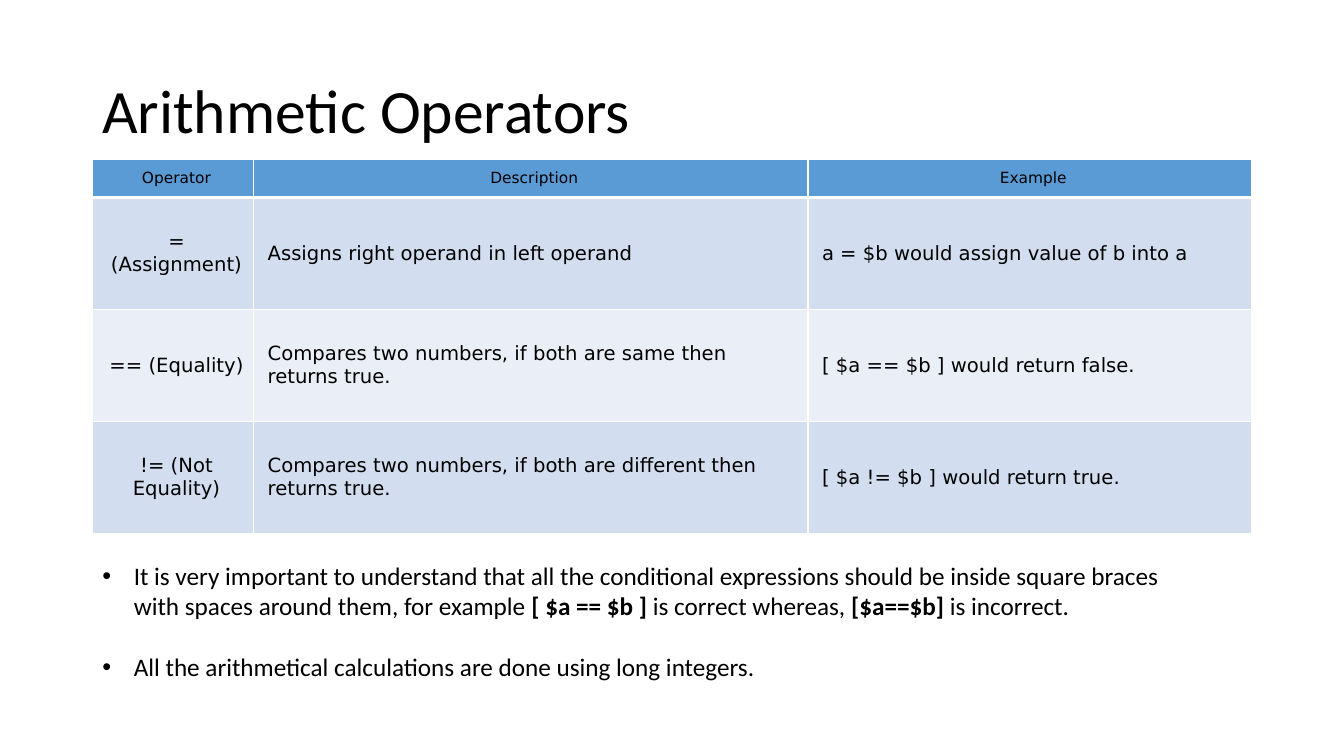
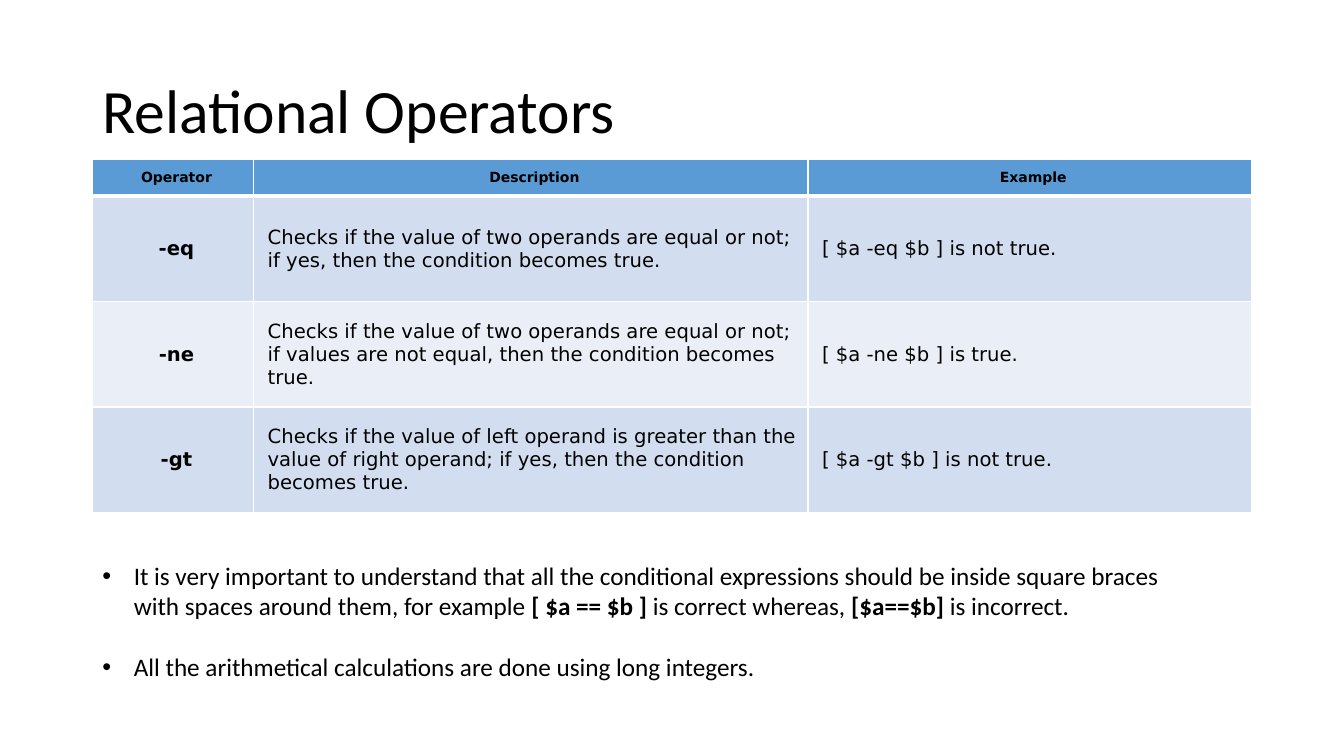
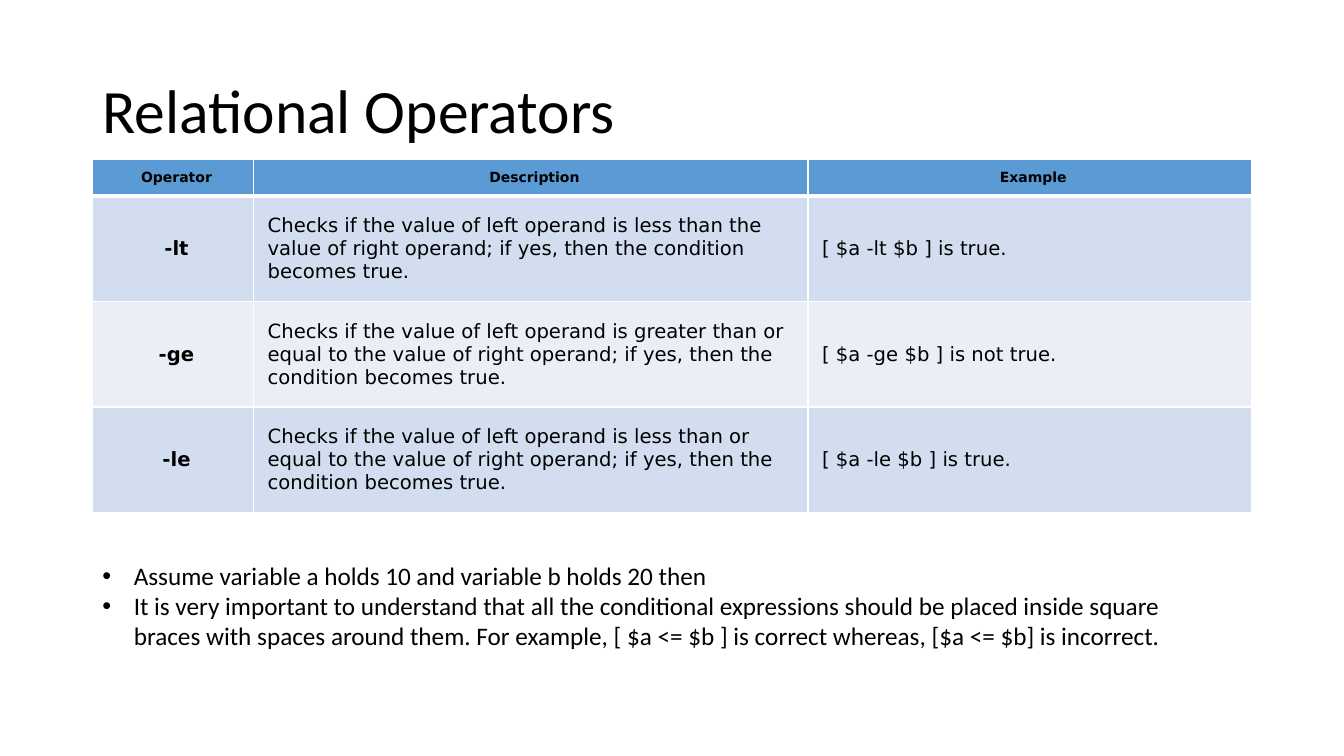
from lxml.etree import SubElement
from pptx import Presentation
from pptx.dml.color import RGBColor
from pptx.enum.text import MSO_ANCHOR, PP_ALIGN
from pptx.oxml.ns import qn
from pptx.util import Pt

COLORS = {
    "text": "000000",
    "header": "5B9BD5",
    "odd_row": "D2DEEF",
    "even_row": "EAEFF7",
    "border": "FFFFFF",
}
LEFT = 66
CELL_MARGIN = 5
BULLET_INDENT = 22.5
NOTE_LINE = 22
COLUMN_WIDTHS = [115.2, 396, 316.8]
TABLE_WIDTH = sum(COLUMN_WIDTHS)
HEADINGS = ("Operator", "Description", "Example")

# Each note is a tuple of spans, alternating between regular and bold.
BRACES_NOTES = [
    ("It is very important to understand that all the conditional expressions "
     "should be inside square braces with spaces around them, for example ",
     "[ $a == $b ]", " is correct whereas, ", "[$a==$b] ", "is incorrect."),
    ("All the arithmetical calculations are done using long integers.",),
]
VARIABLE_NOTES = [
    ("Assume variable a holds 10 and variable b holds 20 then",),
    ("It is very important to understand that all the conditional expressions "
     "should be placed inside square braces with spaces around them. For example, "
     "[ $a <= $b ] is correct whereas, [$a <= $b] is incorrect.",),
]
ARITHMETIC = {"header_size": 11, "header_height": 27, "row_height": 80, "bold": False}
RELATIONAL = {"header_size": 10, "header_height": 26, "row_height": 75.4, "bold": True}

SLIDES = [
    ("Arithmetic Operators", ARITHMETIC, [
        ("= (Assignment)", "Assigns right operand in left operand",
         "a = $b would assign value of b into a"),
        ("== (Equality)", "Compares two numbers, if both are same then returns true.",
         "[ $a == $b ] would return false."),
        ("!= (Not Equality)",
         "Compares two numbers, if both are different then returns true.",
         "[ $a != $b ] would return true."),
    ], BRACES_NOTES, NOTE_LINE),
    ("Relational Operators", RELATIONAL, [
        ("-eq", "Checks if the value of two operands are equal or not; if yes, "
         "then the condition becomes true.", "[ $a -eq $b ] is not true."),
        ("-ne", "Checks if the value of two operands are equal or not; if values "
         "are not equal, then the condition becomes true.", "[ $a -ne $b ] is true."),
        ("-gt", "Checks if the value of left operand is greater than the value of "
         "right operand; if yes, then the condition becomes true.",
         "[ $a -gt $b ] is not true."),
    ], BRACES_NOTES, NOTE_LINE),
    ("Relational Operators", RELATIONAL, [
        ("-lt", "Checks if the value of left operand is less than the value of "
         "right operand; if yes, then the condition becomes true.",
         "[ $a -lt $b ] is true."),
        ("-ge", "Checks if the value of left operand is greater than or equal to the "
         "value of right operand; if yes, then the condition becomes true.",
         "[ $a -ge $b ] is not true."),
        ("-le", "Checks if the value of left operand is less than or equal to the "
         "value of right operand; if yes, then the condition becomes true.",
         "[ $a -le $b ] is true."),
    ], VARIABLE_NOTES, 0),
]


def style_span(span, size, font="Calibri", bold=False):
    span.font.size = Pt(size)
    span.font.name = font
    span.font.bold = bold
    span.font.color.rgb = RGBColor.from_string(COLORS["text"])


def add_border(cell, side, width):
    """Draw one cell edge; call in the order L, R, T, B and before the fill."""
    line = SubElement(cell._tc.get_or_add_tcPr(), qn(f"a:ln{side}"), w=str(Pt(width)))
    fill = SubElement(line, qn("a:solidFill"))
    SubElement(fill, qn("a:srgbClr"), val=COLORS["border"])


deck = Presentation()
deck.slide_width, deck.slide_height = Pt(960), Pt(540)

for title, style, rows, notes, note_gap in SLIDES:
    page = deck.slides.add_slide(deck.slide_layouts[6])

    box = page.shapes.add_textbox(Pt(LEFT), Pt(28.8), Pt(TABLE_WIDTH), Pt(104.4))
    box.text_frame.word_wrap = True
    box.text_frame.vertical_anchor = MSO_ANCHOR.MIDDLE
    box.text_frame.text = title
    para = box.text_frame.paragraphs[0]
    para.line_spacing = 0.9
    style_span(para.runs[0], 44)

    box = page.shapes.add_textbox(Pt(LEFT), Pt(396.7), Pt(785.5), Pt(102))
    box.text_frame.word_wrap = True
    for index, note in enumerate(notes):
        para = box.text_frame.add_paragraph() if index else box.text_frame.paragraphs[0]
        para.space_before = Pt(note_gap if index else 0)
        properties = para._p.get_or_add_pPr()
        properties.set("marL", str(Pt(BULLET_INDENT)))
        properties.set("indent", str(-Pt(BULLET_INDENT)))
        SubElement(properties, qn("a:buFont"), typeface="Arial")
        SubElement(properties, qn("a:buChar"), char="•")
        for position, text in enumerate(note):
            span = para.add_run()
            span.text = text
            style_span(span, 18, bold=position % 2 == 1)

    heights = [style["header_height"]] + [style["row_height"]] * len(rows)
    table = page.shapes.add_table(
        len(heights), len(HEADINGS),
        Pt(LEFT), Pt(114), Pt(TABLE_WIDTH), Pt(sum(heights))).table
    table.horz_banding = False
    for column, width in zip(table.columns, COLUMN_WIDTHS):
        column.width = Pt(width)

    for row_index, texts in enumerate([HEADINGS] + rows):
        table.rows[row_index].height = Pt(heights[row_index])
        is_header = row_index == 0
        if is_header:
            fill_name = "header"
        else:
            fill_name = "odd_row" if row_index % 2 else "even_row"
        for column_index, text in enumerate(texts):
            cell = table.cell(row_index, column_index)
            is_label = is_header or column_index == 0
            cell.vertical_anchor = MSO_ANCHOR.MIDDLE
            cell.margin_left = cell.margin_right = Pt(CELL_MARGIN)
            cell.margin_top = cell.margin_bottom = Pt(CELL_MARGIN)
            add_border(cell, "L", 1)
            add_border(cell, "R", 1)
            add_border(cell, "T", 3 if row_index == 1 else 1)
            add_border(cell, "B", 3 if is_header else 1)
            cell.fill.solid()
            cell.fill.fore_color.rgb = RGBColor.from_string(COLORS[fill_name])
            cell.text_frame.text = text
            para = cell.text_frame.paragraphs[0]
            para.alignment = PP_ALIGN.CENTER if is_label else PP_ALIGN.LEFT
            para._p.get_or_add_pPr().set("marL", str(Pt(CELL_MARGIN)))
            style_span(para.runs[0], style["header_size"] if is_header else 14,
                       "DejaVu Sans", is_label and style["bold"])

deck.save("out.pptx")
